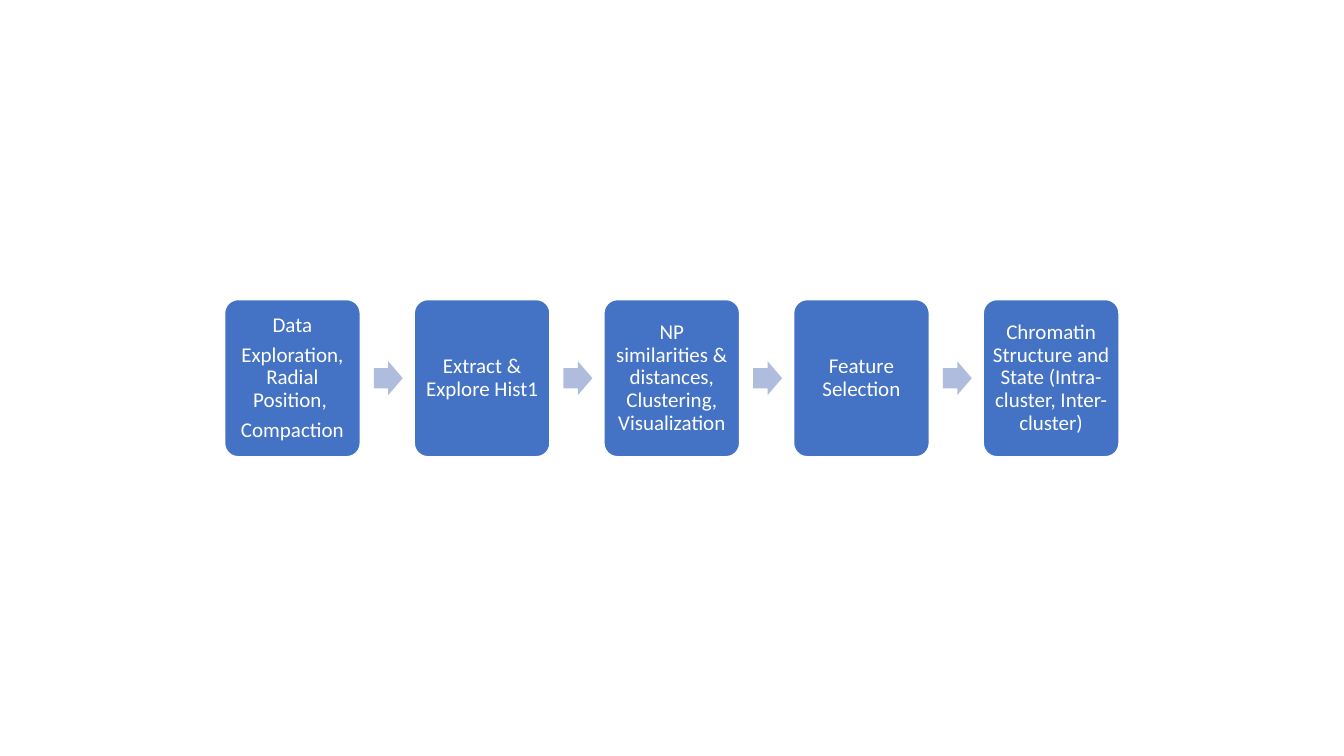
from pptx import Presentation
from pptx.dml.color import RGBColor
from pptx.enum.shapes import MSO_SHAPE
from pptx.enum.text import MSO_ANCHOR, PP_ALIGN
from pptx.util import Cm, Pt

ROUND_RECT = MSO_SHAPE.ROUNDED_RECTANGLE
RIGHT_ARROW = MSO_SHAPE.RIGHT_ARROW
MIDDLE = MSO_ANCHOR.MIDDLE
CENTER = PP_ALIGN.CENTER

BLUE = RGBColor(0x44, 0x72, 0xC4)
PALE_BLUE = RGBColor(0xB0, 0xBC, 0xDE)
WHITE = RGBColor(0xFF, 0xFF, 0xFF)

# Layout in centimetres
LEFT, PITCH, MID_Y = 5.66, 4.78, 9.53
STEP_W, STEP_H = 3.42, 3.96
ARROW_W, ARROW_H, ARROW_OFFSET = 0.73, 0.85, 3.76

# The rounded corners already push the text inwards by about 0.1 cm
INSET = Cm(0.14)
FRAME_FORMAT = {
    "word_wrap": True, "vertical_anchor": MIDDLE,
    "margin_left": INSET, "margin_right": INSET,
    "margin_top": INSET, "margin_bottom": INSET,
}
PARAGRAPH_FORMAT = {"alignment": CENTER, "line_spacing": 0.9,
                    "space_after": Pt(5.25)}
FONT_FORMAT = {"name": "Calibri", "size": Pt(15)}

STEPS = [
    ["Data", "Exploration, Radial Position, ", "Compaction"],
    ["Extract & Explore Hist1"],
    ["NP similarities & distances, Clustering, Visualization"],
    ["Feature Selection"],
    ["Chromatin Structure and State (Intra-cluster, Inter-cluster)"],
]


def apply_format(target, values):
    for name, value in values.items():
        setattr(target, name, value)


def add_block(s, kind, x, w, h, color, adjustments):
    """Add a filled shape centred on the row's middle line."""
    sp = s.shapes.add_shape(kind, Cm(x), Cm(MID_Y - h / 2), Cm(w), Cm(h))
    sp.shadow.inherit = False
    sp.fill.solid()
    sp.fill.fore_color.rgb = color
    for i, value in enumerate(adjustments):
        sp.adjustments[i] = value
    return sp


def add_step(s, x, paragraphs):
    sp = add_block(s, ROUND_RECT, x, STEP_W, STEP_H, BLUE, [0.1])
    sp.line.color.rgb = WHITE
    sp.line.width = Pt(1)
    tf = sp.text_frame
    apply_format(tf, FRAME_FORMAT)
    for i, text in enumerate(paragraphs):
        p = tf.add_paragraph() if i else tf.paragraphs[0]
        apply_format(p, PARAGRAPH_FORMAT)
        r = p.add_run()
        r.text = text
        apply_format(r.font, FONT_FORMAT)
        r.font.color.rgb = WHITE


def add_arrow(s, x):
    sp = add_block(s, RIGHT_ARROW, x, ARROW_W, ARROW_H, PALE_BLUE, [0.6, 0.5])
    sp.line.fill.background()


def main():
    prs = Presentation()
    prs.slide_width, prs.slide_height = Cm(33.87), Cm(19.05)
    s = prs.slides.add_slide(prs.slide_layouts[6])

    # Process steps, with an arrow before each one but the first
    for i, paragraphs in enumerate(STEPS):
        x = LEFT + i * PITCH
        if i:
            add_arrow(s, x - PITCH + ARROW_OFFSET)
        add_step(s, x, paragraphs)

    prs.save("out.pptx")


main()
